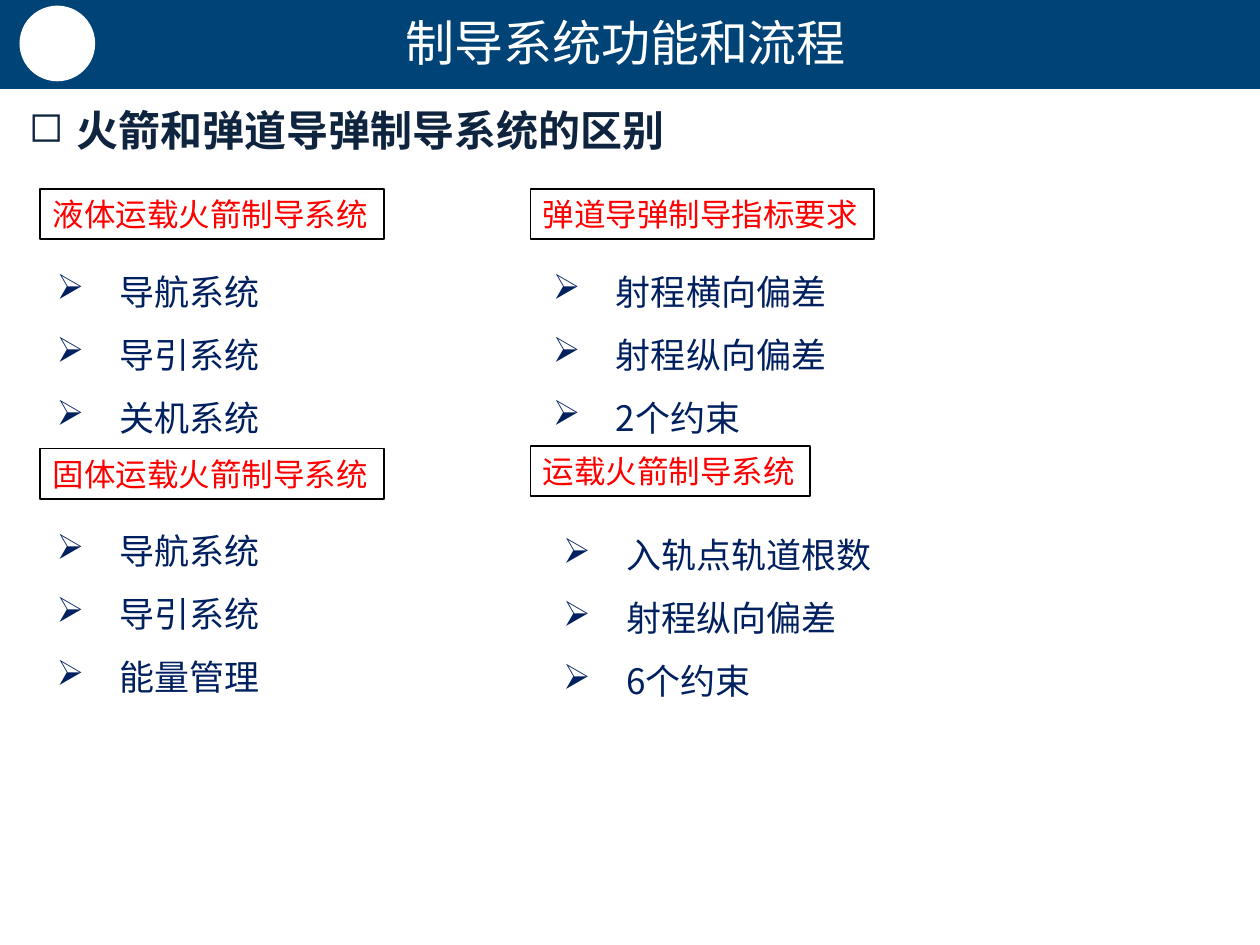
from dataclasses import dataclass

from lxml.etree import SubElement
from pptx import Presentation
from pptx.dml.color import RGBColor as Color
from pptx.enum.shapes import MSO_SHAPE as Shape
from pptx.enum.text import MSO_AUTO_SIZE as AutoSize, PP_ALIGN as Align
from pptx.oxml.ns import qn
from pptx.util import Inches, Pt


@dataclass(frozen=True)
class Theme:
    banner: Color = Color(0x00, 0x43, 0x76)
    white: Color = Color(0xFF, 0xFF, 0xFF)
    border: Color = Color(0, 0, 0)
    topic: Color = Color(0x0F, 0x24, 0x3E)
    label: Color = Color(0xFF, 0, 0)
    item: Color = Color(0x00, 0x20, 0x60)
    title_size: int = 28
    topic_size: int = 24
    item_size: int = 20
    label_size: int = 18
    title_font: str = "Times New Roman"
    label_font: str = "Calibri"
    item_font: str = "Noto Sans CJK SC"


THEME = Theme()

# Label text, label left, top and width, list left and top, list items
GROUPS = [
    ("液体运载火箭制导系统", (0.32, 1.5, 2.73), (0.35, 1.93),
     ["导航系统", "导引系统", "关机系统"]),
    ("固体运载火箭制导系统", (0.32, 3.56, 2.73), (0.35, 3.99),
     ["导航系统", "导引系统", "能量管理"]),
    ("弹道导弹制导指标要求", (4.21, 1.5, 2.73), (4.29, 1.93),
     ["射程横向偏差", "射程纵向偏差", "2个约束"]),
    ("运载火箭制导系统", (4.21, 3.54, 2.22), (4.37, 4.02),
     ["入轨点轨道根数", "射程纵向偏差", "6个约束"]),
]


def add_plain_shape(page, kind, left, top, width, height, color):
    shape = page.shapes.add_shape(
        kind, Inches(left), Inches(top), Inches(width), Inches(height))
    shape.shadow.inherit = False
    shape.fill.solid()
    shape.fill.fore_color.rgb = color
    shape.line.color.rgb = color
    shape.line.width = Pt(0.75)


def add_text(page, lines, left, top, width, height, wrap=True):
    box = page.shapes.add_textbox(
        Inches(left), Inches(top), Inches(width), Inches(height))
    box.text_frame.text = "\n".join(lines)
    box.text_frame.word_wrap = wrap
    box.text_frame.auto_size = AutoSize.SHAPE_TO_FIT_TEXT
    return box


def set_bullet(para, char, indent):
    """Give the paragraph a bullet that hangs by indent inches."""
    props = para._p.get_or_add_pPr()
    props.set("marL", str(Inches(indent)))
    props.set("indent", str(-Inches(indent)))
    SubElement(props, qn("a:buChar")).set("char", char)


def set_font(para, name, size, color, bold=False):
    para.font.name = name
    para.font.size = Pt(size)
    para.font.color.rgb = color
    para.font.bold = bold


def add_title(page, text):
    box = add_text(page, [text], 0.12, 0.05, 9.69, 0.57)
    para = box.text_frame.paragraphs[0]
    para.alignment = Align.CENTER
    set_font(para, THEME.title_font, THEME.title_size, THEME.white)


def add_topic(page, text):
    box = add_text(page, [text], 0.13, 0.78, 8.88, 0.5)
    para = box.text_frame.paragraphs[0]
    para.alignment = Align.JUSTIFY
    para.space_after = Pt(6)
    set_bullet(para, "◻", 0.38)
    set_font(para, THEME.label_font, THEME.topic_size, THEME.topic, bold=True)


def add_label(page, text, left, top, width):
    box = add_text(page, [text], left, top, width, 0.4, wrap=False)
    box.line.color.rgb = THEME.border
    box.line.width = Pt(1)
    set_font(box.text_frame.paragraphs[0],
             THEME.label_font, THEME.label_size, THEME.label)


def add_list(page, items, left, top):
    box = add_text(page, items, left, top, 3.82, 1.62)
    for para in box.text_frame.paragraphs:
        para.line_spacing = 1.5
        set_bullet(para, "➢", 0.5)
        set_font(para, THEME.item_font, THEME.item_size, THEME.item)


def main():
    deck = Presentation()
    deck.slide_width, deck.slide_height = Inches(10), Inches(7.5)
    page = deck.slides.add_slide(deck.slide_layouts[6])

    add_plain_shape(page, Shape.RECTANGLE, 0, 0, 10, 0.7, THEME.banner)
    add_plain_shape(page, Shape.OVAL, 0.16, 0.05, 0.59, 0.59, THEME.white)
    add_title(page, "制导系统功能和流程")
    add_topic(page, "火箭和弹道导弹制导系统的区别")
    for label, label_place, list_place, items in GROUPS:
        add_list(page, items, *list_place)
        add_label(page, label, *label_place)

    deck.save("out.pptx")


if __name__ == "__main__":
    main()
